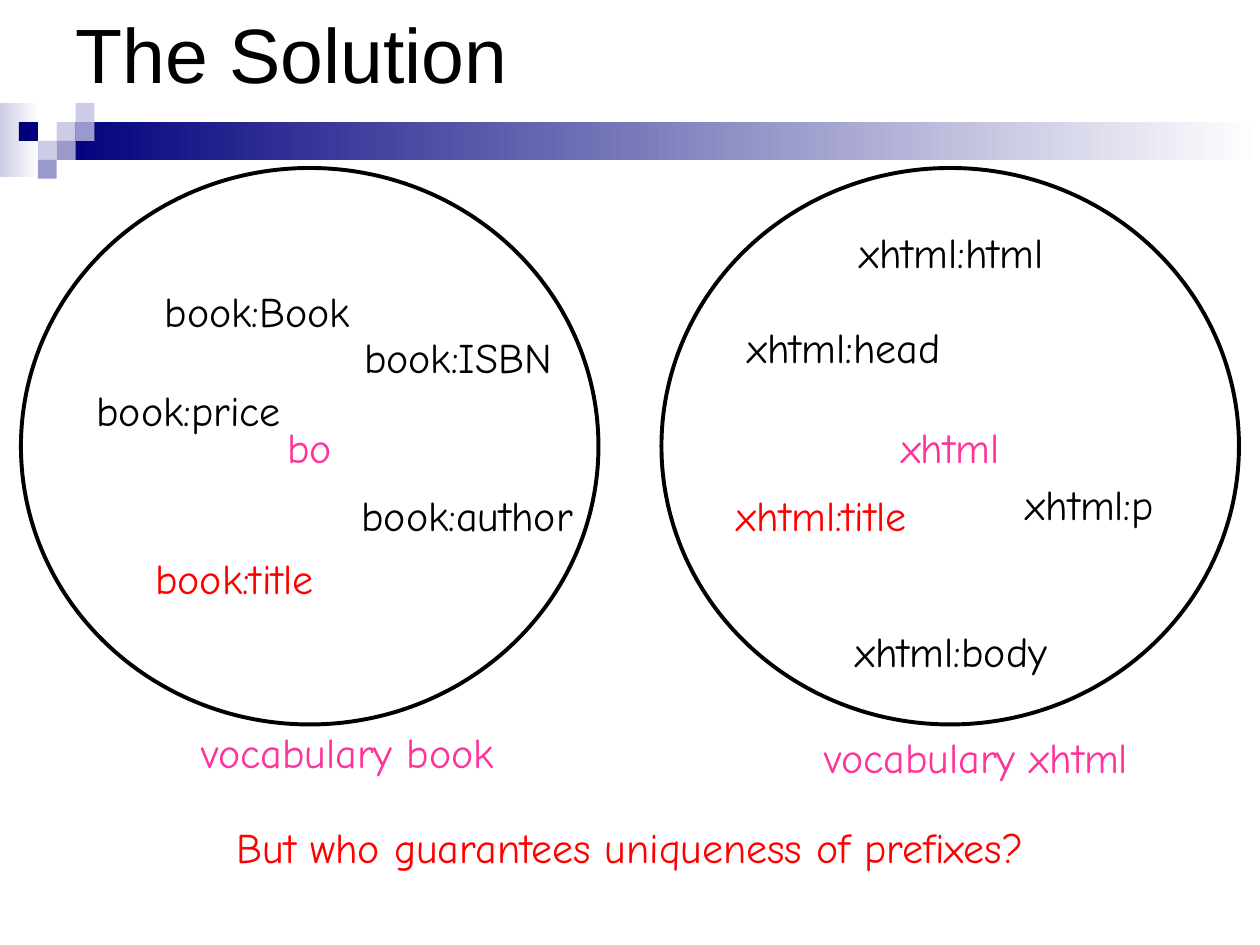
from dataclasses import dataclass
from pptx import Presentation
from pptx.dml.color import RGBColor
from pptx.enum.shapes import MSO_SHAPE
from pptx.enum.text import MSO_ANCHOR, MSO_AUTO_SIZE, PP_ALIGN
from pptx.util import Inches, Pt

RECT, OVAL = MSO_SHAPE.RECTANGLE, MSO_SHAPE.OVAL
MID = MSO_ANCHOR.MIDDLE
LEFT, CENTER = PP_ALIGN.LEFT, PP_ALIGN.CENTER
GROW = MSO_AUTO_SIZE.SHAPE_TO_FIT_TEXT
COLS, ROWS = 120, 90
TILE, TOP = 1.8, 9.82


@dataclass(frozen=True)
class Theme:
    ink: str = "000000"
    paper: str = "FFFFFF"
    red: str = "FF0000"
    pink: str = "FF3399"
    navy: str = "00007D"
    mid: str = "9999CC"
    pale: str = "CCCCE6"
    head: str = "Arial"
    hand: str = "Comic Neue"
    big: int = 44
    size: int = 24
    edge: float = 2.25


@dataclass(frozen=True)
class Box:
    col: float
    row: float
    wide: float
    high: float = 6


@dataclass(frozen=True)
class Label:
    text: str
    box: Box
    color: str


@dataclass(frozen=True)
class Tile:
    col: int
    row: int
    color: str


look = Theme()
deck = Presentation()
deck.slide_width, deck.slide_height = Inches(10), Inches(7.5)


def place(box: Box) -> tuple:
    dx, dy = deck.slide_width / COLS, deck.slide_height / ROWS
    return (round(box.col * dx), round(box.row * dy),
            round(box.wide * dx), round(box.high * dy))


def write(frame, text: str, color: str, font: str, size: int, align) -> None:
    para = frame.paragraphs[0]
    para.alignment = align
    run = para.add_run()
    run.text = text
    run.font.name = font
    run.font.size = Pt(size)
    run.font.color.rgb = RGBColor.from_string(color)


def block(slide, kind, box: Box, color: str):
    shape = slide.shapes.add_shape(kind, *place(box))
    shape.shadow.inherit = False
    shape.fill.solid()
    shape.fill.fore_color.rgb = RGBColor.from_string(color)
    shape.line.fill.background()
    return shape


def fade(slide, box: Box, color: str) -> None:
    fill = block(slide, RECT, box, color).fill
    fill.gradient()
    fill.gradient_angle = 0
    for stop, tone, pos in zip(fill.gradient_stops, (color, look.paper), (0, 1)):
        stop.color.rgb = RGBColor.from_string(tone)
        stop.position = pos


def circle(slide, col: float, text: str) -> None:
    shape = block(slide, OVAL, Box(col, 16, 55, 53), look.paper)
    shape.line.color.rgb = RGBColor.from_string(look.ink)
    shape.line.width = Pt(look.edge)
    frame = shape.text_frame
    frame.word_wrap = False
    frame.vertical_anchor = MID
    write(frame, text, look.pink, look.hand, look.size, CENTER)


def label(slide, item: Label, wrap: bool = False) -> None:
    frame = slide.shapes.add_textbox(*place(item.box)).text_frame
    frame.word_wrap = wrap
    frame.auto_size = GROW
    write(frame, item.text, item.color, look.hand, look.size,
          CENTER if wrap else LEFT)


TILES = [
    Tile(3, 1, look.pale), Tile(4, 0, look.pale), Tile(4, 1, look.mid),
    Tile(2, 2, look.pale), Tile(1, 1, look.navy), Tile(3, 2, look.mid),
    Tile(2, 3, look.mid),
]
LABELS = [
    Label("book:Book", Box(14.5, 26.6, 20.4), look.ink),
    Label("book:title", Box(13.6, 52, 17.8), look.red),
    Label("book:author", Box(33.25, 46, 22.8), look.ink),
    Label("book:price", Box(8, 36, 20.3), look.ink),
    Label("book:ISBN", Box(33.5, 31, 20.6), look.ink),
    Label("xhtml:html", Box(80.65, 21, 20.3), look.ink),
    Label("xhtml:head", Box(70, 30, 21.1), look.ink),
    Label("xhtml:body", Box(80.3, 59, 21), look.ink),
    Label("xhtml:p", Box(96.5, 45, 15), look.ink),
    Label("xhtml:title", Box(69, 46, 18.9), look.red),
    Label("vocabulary book", Box(18, 68.6, 30.6), look.pink),
    Label("vocabulary xhtml", Box(77.35, 69.1, 31.6), look.pink),
]
ASK = Label("But who guarantees uniqueness of prefixes?",
            Box(0, 77.67, COLS), look.red)


def main() -> None:
    slide = deck.slides.add_slide(deck.slide_layouts[5])
    title = slide.shapes.title
    title.left, title.top, title.width, title.height = place(Box(6, 0, 108, 10))
    title.text_frame.vertical_anchor = MID
    write(title.text_frame, "The Solution", look.ink, look.head, look.big, LEFT)

    fade(slide, Box(0, TOP, 3.7, 7), look.pale)
    start = 3 * TILE
    fade(slide, Box(start, TOP + TILE, COLS - start, 2 * TILE), look.navy)
    for tile in TILES:
        spot = Box(tile.col * TILE, TOP + tile.row * TILE, TILE, TILE)
        block(slide, RECT, spot, tile.color)

    circle(slide, 2, "bo")
    circle(slide, 63, "xhtml")
    for item in LABELS:
        label(slide, item)
    label(slide, ASK, wrap=True)
    deck.save("out.pptx")


if __name__ == "__main__":
    main()
